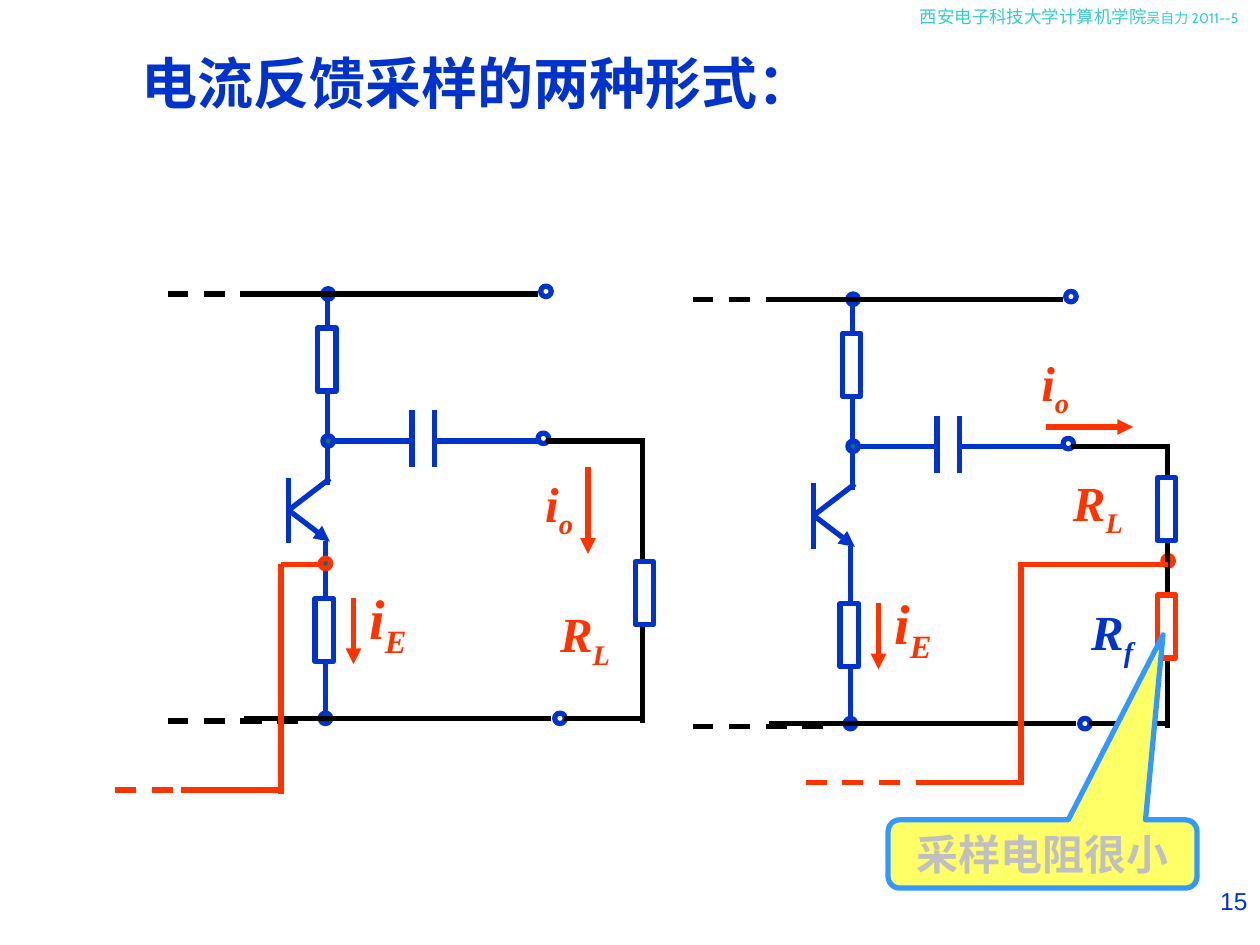
from lxml import etree
from pptx import Presentation
from pptx.dml.color import RGBColor
from pptx.enum import dml, shapes, text
from pptx.oxml import ns
from pptx.util import Pt

BLUE = RGBColor(0x00, 0x33, 0xCC)
RED = RGBColor(0xFF, 0x33, 0x00)
BLACK = RGBColor(0, 0, 0)
WHITE = RGBColor(0xFF, 0xFF, 0xFF)
TEAL = RGBColor(0x00, 0x75, 0x72)
CYAN = RGBColor(0x33, 0xCC, 0xCC)
SILVER = RGBColor(0xC0, 0xC0, 0xC0)
YELLOW = RGBColor(0xFF, 0xFF, 0x66)
SKY = RGBColor(0x33, 0x99, 0xFF)
SERIF = "Times New Roman"
LEFT, RIGHT, CENTER = text.PP_ALIGN.LEFT, text.PP_ALIGN.RIGHT, text.PP_ALIGN.CENTER
RECT, OVAL = shapes.MSO_SHAPE.RECTANGLE, shapes.MSO_SHAPE.OVAL
LINE_WIDTH = 3
DOT = (6, 6)
RESISTOR = (10.5, 36)

TITLE = "电流反馈采样的两种形式："
HEADER = [("西安电子科技大学计算机学院", 10), ("吴自力 2011--5", 8)]
CALLOUT = "采样电阻很小"
PAGE = "15"

# Amplifier stage shared by both circuits. Lines: x1, y1, x2, y2, style
STAGE_LINES = [
    (165, 273, 165, 310.5, ""),
    (165, 291.5, 188.5, 273.5, ""),
    (165.5, 292, 188.5, 309.5, "arrow"),
    (186, 309, 186, 410.5, ""),
    (187, 277, 187, 168, ""),
    (186, 252, 307.5, 252, ""),
]
JUNCTIONS = [(183, 407.5), (184.5, 249), (184.5, 165)]
TERMINALS = [(309, 163.5), (307.5, 247.5), (317, 407.5)]
STAGE_RESISTORS = [(181.5, 187.5), (180, 342)]
PLATE_XS, PLATE_TOP, PLATE_BOTTOM = (235.5, 248.5), 234.5, 267
RAILS = [
    (315, 410.5, 139.5, 410.5, ""),
    (307.5, 168, 139.5, 168, ""),
    (170.5, 168, 96, 168, "dash"),
    (170.5, 412, 96, 412, "dash"),
    (312, 252, 367, 252, ""),
    (367, 250.5, 367, 413, ""),
    (322.5, 410.5, 367, 410.5, ""),
]
EMITTER_ARROW = (202, 341.5, 202, 379.5, "arrow")
EMITTER_LABEL = (204, 330, 66, 51, "i", "E", 32, RED)

# What differs between the circuits, in slide coordinates
CIRCUITS = [
    dict(
        offset=(0, 0),
        feedback_dot=(183, 319),
        resistors=[(363, 321, BLUE)],
        red_lines=[
            (160.5, 322.5, 160.5, 453.5, ""),
            (162, 451.5, 103.5, 451.5, ""),
            (141, 451.5, 66, 451.5, "dash"),
            (160.5, 322.5, 184.5, 322.5, ""),
            (336, 267, 336, 316.5, "arrow"),
        ],
        labels=[
            (313, 341.5, 86, 45, "R", "L", 28, RED),
            (304.5, 267, 86, 45, "i", "o", 28, RED),
        ],
    ),
    dict(
        offset=(300, 3),
        feedback_dot=(664.5, 317.5),
        resistors=[(661.5, 273, BLUE), (661.5, 340, RED)],
        red_lines=[
            (582, 447, 523.5, 447, ""),
            (535.5, 447, 460.5, 447, "dash"),
            (667.5, 322.5, 582, 322.5, ""),
            (583.5, 322, 583.5, 448.5, ""),
            (597.5, 244, 647.5, 244, "arrow"),
        ],
        labels=[
            (606, 266.5, 60, 45, "R", "L", 28, RED),
            (588, 198, 86, 45, "i", "o", 28, RED),
            (616.5, 340, 47, 45, "R", "f", 28, BLUE),
        ],
    ),
]


def add_wire(s, wire, color):
    x1, y1, x2, y2, style = wire
    c = s.add_connector(shapes.MSO_CONNECTOR.STRAIGHT, Pt(x1), Pt(y1), Pt(x2), Pt(y2))
    c.line.color.rgb = color
    c.line.width = Pt(LINE_WIDTH)
    if style == "dash":
        c.line.dash_style = dml.MSO_LINE.DASH
    if style == "arrow":
        etree.SubElement(c.line._get_or_add_ln(), ns.qn("a:tailEnd"), type="triangle")
    etree.SubElement(c._element.spPr, ns.qn("a:effectLst"))


def add_part(s, kind, pos, size, fill, line):
    sp = s.add_shape(kind, *map(Pt, (*pos, *size)))
    sp.shadow.inherit = False
    if fill is None:
        sp.fill.background()
    else:
        sp.fill.solid()
        sp.fill.fore_color.rgb = fill
    sp.line.color.rgb = line
    sp.line.width = Pt(LINE_WIDTH)
    return sp


def write(sp, runs, color, font=SERIF, bold=False, align=LEFT):
    """Fill a shape with one paragraph of (text, size) runs."""
    tf = sp.text_frame
    tf.word_wrap = True
    tf.auto_size = text.MSO_AUTO_SIZE.NONE
    p = tf.paragraphs[0]
    p.alignment = align
    for words, size in runs:
        r = p.add_run()
        r.text = words
        r.font.size = Pt(size)
        r.font.name = font
        r.font.bold = bold
        r.font.color.rgb = color
    return p


def add_label(s, label):
    """Add an italic symbol with its subscript."""
    x, y, w, h, symbol, sub, size, color = label
    box = s.add_textbox(Pt(x), Pt(y), Pt(w), Pt(h))
    p = write(box, [(symbol, size), (sub, size)], color, bold=True)
    for r in p.runs:
        r.font.italic = True
    p.runs[1]._r.get_or_add_rPr().set("baseline", "-25000")


def draw_circuit(s, circuit):
    dx, dy = circuit["offset"]

    def shift(points):
        return [(x + dx, y + dy) for x, y in points]

    def shift_wire(wire):
        x1, y1, x2, y2, style = wire
        return x1 + dx, y1 + dy, x2 + dx, y2 + dy, style

    for wire in STAGE_LINES:
        add_wire(s, shift_wire(wire), BLUE)
    for kind, points, size, fill in [
        (OVAL, JUNCTIONS, DOT, TEAL),
        (OVAL, TERMINALS, DOT, None),
        (RECT, STAGE_RESISTORS, RESISTOR, WHITE),
    ]:
        for pos in shift(points):
            add_part(s, kind, pos, size, fill, BLUE)
    gap = shift([(237, 236)])[0]
    add_part(s, RECT, gap, (10.5, 29.5), WHITE, WHITE)
    for x in PLATE_XS:
        add_wire(s, shift_wire((x, PLATE_TOP, x, PLATE_BOTTOM, "")), BLUE)
    add_part(s, OVAL, circuit["feedback_dot"], DOT, TEAL, RED)
    for wire in RAILS:
        add_wire(s, shift_wire(wire), BLACK)
    for x, y, color in circuit["resistors"]:
        add_part(s, RECT, (x, y), RESISTOR, WHITE, color)
    for wire in circuit["red_lines"] + [shift_wire(EMITTER_ARROW)]:
        add_wire(s, wire, RED)
    x, y, *rest = EMITTER_LABEL
    for label in circuit["labels"] + [(x + dx, y + dy, *rest)]:
        add_label(s, label)


def main():
    prs = Presentation()
    prs.slide_width, prs.slide_height = Pt(720), Pt(540)
    slide = prs.slides.add_slide(prs.slide_layouts[5])
    s = slide.shapes

    header = s.add_textbox(Pt(518.5), Pt(0), Pt(201.5), Pt(29))
    write(header, HEADER, CYAN, "Cabin")
    title = s.title
    title.left, title.top, title.width, title.height = map(Pt, (73.5, 24, 435, 46))
    title.text_frame.vertical_anchor = text.MSO_ANCHOR.TOP
    write(title, [(TITLE, 32)], BLUE, bold=True)

    for circuit in CIRCUITS:
        draw_circuit(s.add_group_shape().shapes, circuit)

    callout = add_part(s, shapes.MSO_SHAPE.ROUNDED_RECTANGULAR_CALLOUT,
                       (507.5, 468.5), (176.5, 39), YELLOW, SKY)
    for i, value in enumerate((0.39, -3.21, 0.17)):
        callout.adjustments[i] = value
    callout.text_frame.vertical_anchor = text.MSO_ANCHOR.MIDDLE
    write(callout, [(CALLOUT, 24)], SILVER, bold=True, align=CENTER)

    page = s.add_textbox(Pt(540), Pt(502.5), Pt(180), Pt(37.5))
    write(page, [(PAGE, 14)], BLUE, "Arial", align=RIGHT)
    prs.save("out.pptx")


if __name__ == "__main__":
    main()
